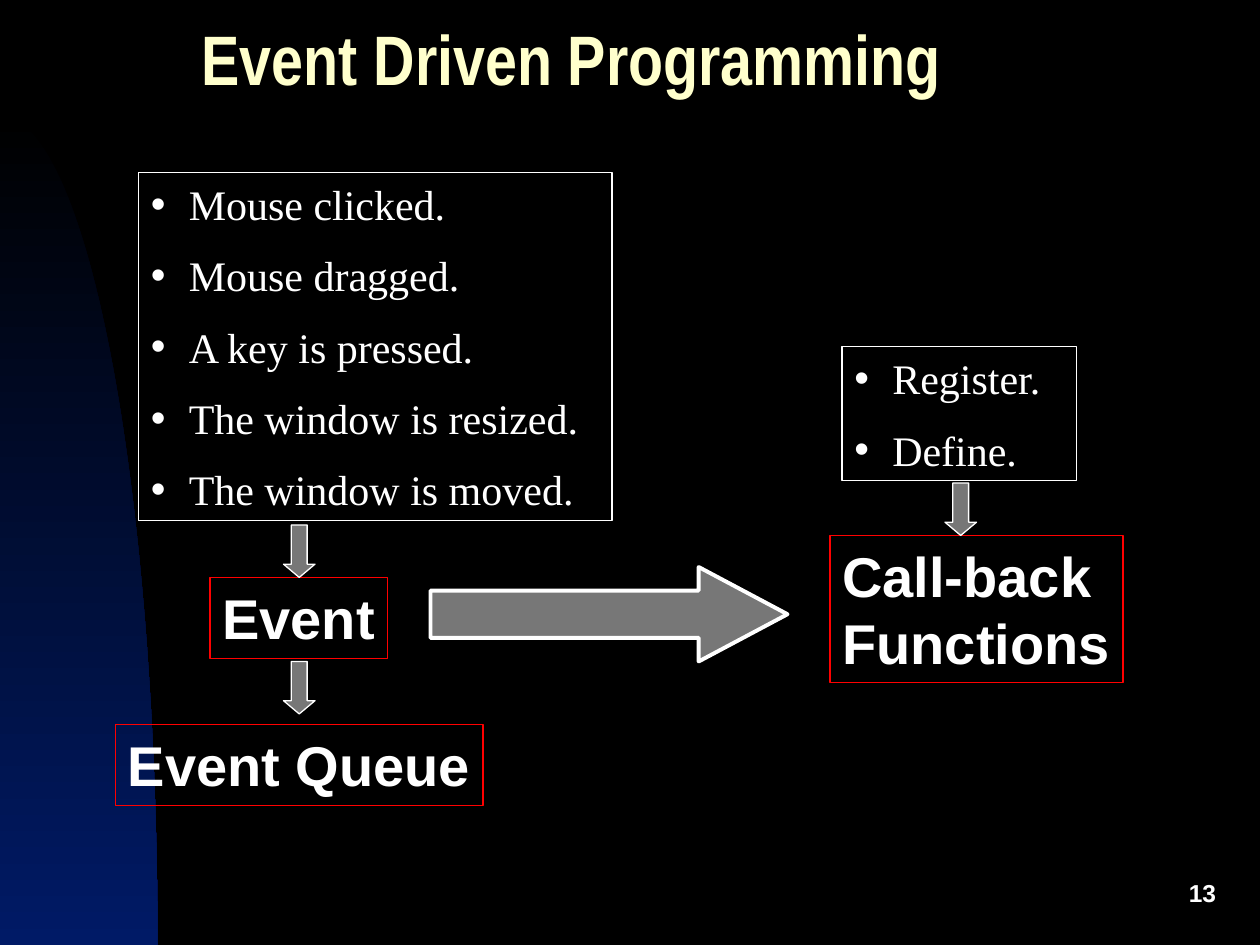
from math import cos, pi, sin

from lxml.etree import SubElement
from pptx import Presentation
from pptx.dml.color import RGBColor
from pptx.enum.shapes import MSO_SHAPE as Preset
from pptx.enum.text import MSO_ANCHOR as Anchor, MSO_AUTO_SIZE as AutoSize, PP_ALIGN as Align
from pptx.oxml.ns import qn
from pptx.util import Inches, Pt

COLORS = {
    "background": "000000",
    "sweep": "001A66",
    "title": "FFFFCC",
    "text": "FFFFFF",
    "label": "FF0000",
    "arrow": "777777",
}
CELL = Inches(1) / 12
COLUMNS, ROWS = 120, 90


def color(name):
    return RGBColor.from_string(COLORS[name])


def place(box):
    return [round(value * CELL) for value in box]


def add_run(paragraph, text, size, font, name="text", bold=False):
    run = paragraph.add_run()
    run.text = text
    run.font.size = Pt(size)
    run.font.name = font
    run.font.bold = bold
    run.font.color.rgb = color(name)


def add_bullet(paragraph, indent):
    properties = paragraph._p.get_or_add_pPr()
    properties.set("marL", str(indent))
    properties.set("indent", str(-indent))
    SubElement(properties, qn("a:buFont")).set("typeface", "Arial")
    SubElement(properties, qn("a:buChar")).set("char", "•")


def add_sweep(slide, box):
    left, top, width, height = place(box)
    steps = 60
    angles = [pi / 2 * step / steps for step in range(steps + 1)]
    points = [
        (round(left + width * sin(angle)), round(top + height * (1 - cos(angle))))
        for angle in angles
    ]
    builder = slide.shapes.build_freeform(*points[0])
    builder.add_line_segments(points[1:] + [(left, top + height)], close=True)
    shape = builder.convert_to_shape()
    shape.shadow.inherit = False
    shape.line.fill.background()
    shape.fill.gradient()
    shape.fill.gradient_angle = 270
    for stop, name in zip(shape.fill.gradient_stops, ("background", "sweep")):
        stop.color.rgb = color(name)


def add_title(slide, box, text):
    title = slide.shapes.title
    title.left, title.top, title.width, title.height = place(box)
    frame = title.text_frame
    frame.auto_size = AutoSize.NONE
    frame.vertical_anchor = Anchor.MIDDLE
    paragraph = frame.paragraphs[0]
    paragraph.alignment = Align.LEFT
    paragraph.line_spacing = 0.7
    add_run(paragraph, text, 40, "Arial Narrow", "title", True)


def add_frame(slide, box, line):
    shape = slide.shapes.add_shape(Preset.RECTANGLE, *place(box))
    shape.shadow.inherit = False
    shape.fill.background()
    shape.line.color.rgb = color(line)
    shape.line.width = Pt(0.75)
    shape.text_frame.vertical_anchor = Anchor.TOP
    return shape.text_frame


def add_paragraphs(frame, lines):
    for index, line in enumerate(lines):
        paragraph = frame.add_paragraph() if index else frame.paragraphs[0]
        paragraph.alignment = Align.LEFT
        yield paragraph, line


def add_label(slide, box, lines):
    frame = add_frame(slide, box, "label")
    frame.word_wrap = False
    for paragraph, line in add_paragraphs(frame, lines):
        add_run(paragraph, line, 32, "Arial", bold=True)


def add_list(slide, box, lines):
    frame = add_frame(slide, box, "text")
    frame.word_wrap = True
    for paragraph, line in add_paragraphs(frame, lines):
        paragraph.space_before = Pt(12)
        add_bullet(paragraph, Inches(0.3))
        add_run(paragraph, line, 24, "Times New Roman")


def add_arrow(slide, box, preset, head, width):
    shape = slide.shapes.add_shape(preset, *place(box))
    shape.shadow.inherit = False
    shape.adjustments[0] = 0.5
    shape.adjustments[1] = head
    shape.fill.solid()
    shape.fill.fore_color.rgb = color("arrow")
    shape.line.color.rgb = color("text")
    shape.line.width = Pt(width)


def add_number(slide, box, text):
    frame = slide.shapes.add_textbox(*place(box)).text_frame
    frame.word_wrap = True
    frame.vertical_anchor = Anchor.MIDDLE
    paragraph = frame.paragraphs[0]
    paragraph.alignment = Align.RIGHT
    add_run(paragraph, text, 14, "Arial", bold=True)


def add_event_slide(presentation):
    slide = presentation.slides.add_slide(presentation.slide_layouts[5])
    slide.background.fill.solid()
    slide.background.fill.fore_color.rgb = color("background")
    add_sweep(slide, (0, 11, 15, ROWS - 11))
    add_title(slide, (18, 0, 99, 13), "Event Driven Programming")
    add_label(slide, (20, 55, 16.9, 7.7), ["Event"])
    add_label(slide, (79.05, 51, 27.9, 14), ["Call-back", "Functions"])
    add_arrow(slide, (41, 54, 34, 9), Preset.RIGHT_ARROW, 0.94, 2.25)
    add_list(slide, (13.2, 16.4, 45.1, 33.2), [
        "Mouse clicked.",
        "Mouse dragged.",
        "A key is pressed.",
        "The window is resized.",
        "The window is moved.",
    ])
    add_list(slide, (80.2, 33, 22.3, 12.8), ["Register.", "Define."])
    for column, row in ((27, 50), (90, 46), (27, 63)):
        add_arrow(slide, (column, row, 3, 5), Preset.DOWN_ARROW, 0.42, 0.75)
    add_label(slide, (11, 69, 35, 7.7), ["Event Queue"])
    add_number(slide, (92, 82, 25, 6), "13")


def main():
    presentation = Presentation()
    presentation.slide_width = round(COLUMNS * CELL)
    presentation.slide_height = round(ROWS * CELL)
    add_event_slide(presentation)
    presentation.save("out.pptx")


if __name__ == "__main__":
    main()
